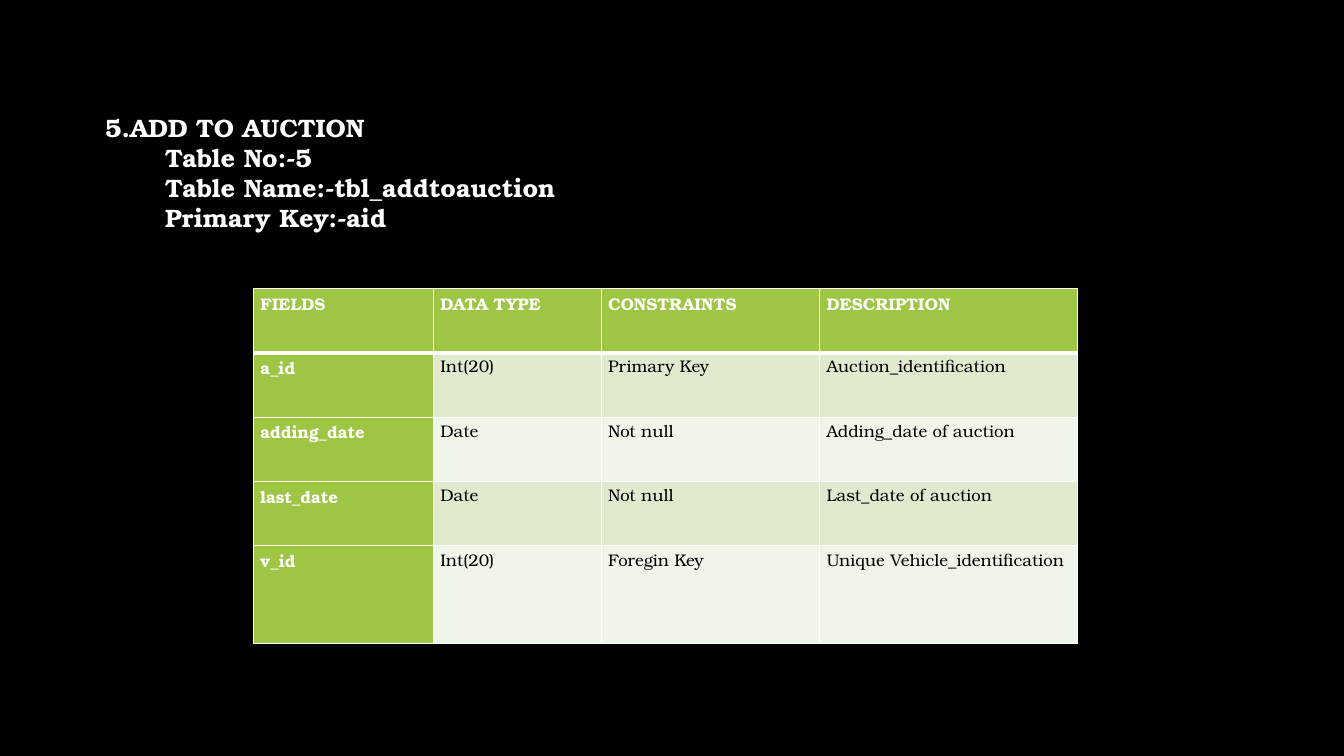
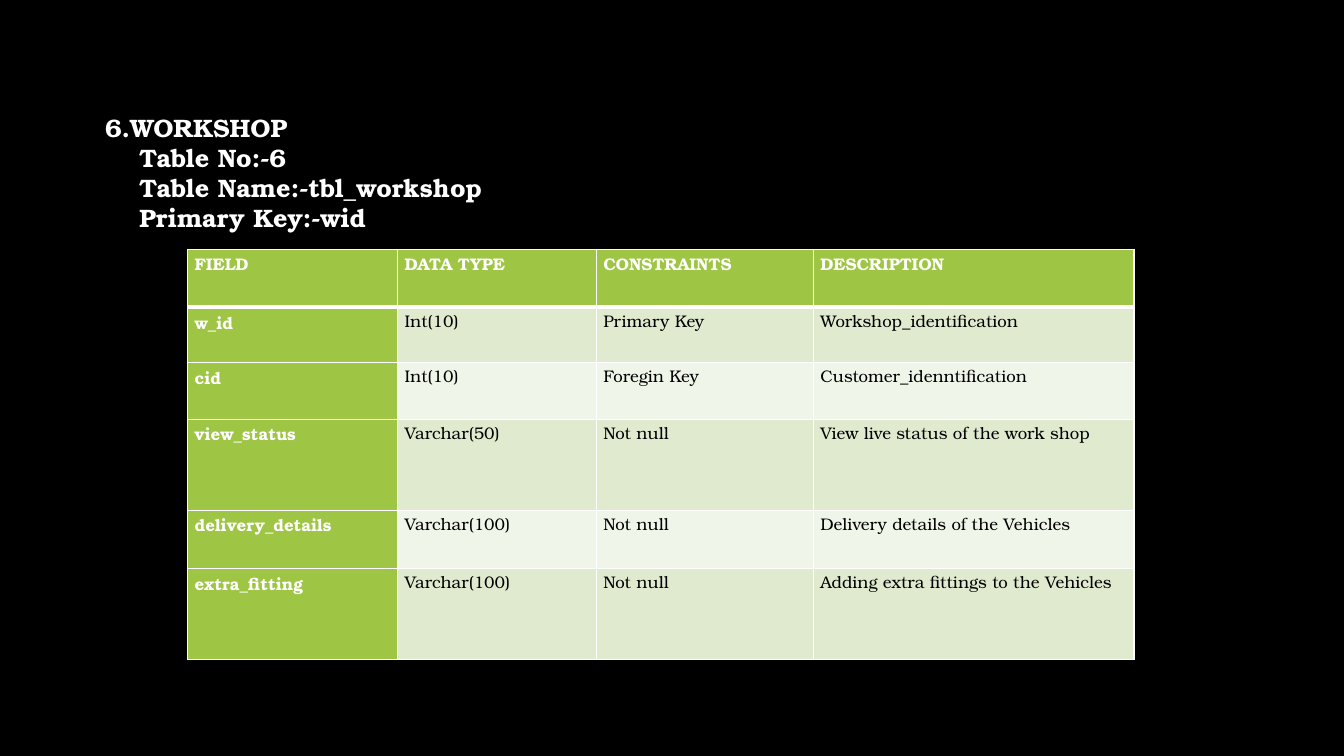
from dataclasses import dataclass

from lxml import etree
from pptx import Presentation
from pptx import util as u
from pptx.dml.color import RGBColor
from pptx.enum import text
from pptx.oxml.ns import qn


@dataclass(frozen=True)
class Theme:
    font: str = "TeX Gyre Bonum"
    background: str = "000000"
    light: str = "FFFFFF"
    dark: str = "000000"
    accent: str = "9EC544"
    bands: tuple = ("DFEACF", "F0F5E9")
    heading_size: float = 18
    cell_size: float = 12
    thin_line: float = 1
    thick_line: float = 3


THEME = Theme()
HEADING_BOX = (75, 80, 800, 86)

SLIDES = [
    {
        "title": "5.ADD TO AUCTION",
        "details": ["Table No:-5", "Table Name:-tbl_addtoauction", "Primary Key:-aid"],
        "indent": 43,
        "origin": (181, 206),
        "widths": [128.5, 120, 156, 184],
        "heights": [46, 46, 46, 46, 70],
        "rows": [
            ["FIELDS", "DATA TYPE", "CONSTRAINTS", "DESCRIPTION"],
            ["a_id", "Int(20)", "Primary Key", "Auction_identification"],
            ["adding_date", "Date", "Not null", "Adding_date of auction"],
            ["last_date", "Date", "Not null", "Last_date of auction"],
            ["v_id", "Int(20)", "Foregin Key", "Unique Vehicle_identification"],
        ],
    },
    {
        "title": "6.WORKSHOP",
        "details": ["Table No:-6", "Table Name:-tbl_workshop", "Primary Key:-wid"],
        "indent": 24.5,
        "origin": (134, 178),
        "widths": [150, 142, 155, 229],
        "heights": [41.5, 39.5, 40.5, 65, 41.5, 65],
        "rows": [
            ["FIELD", "DATA TYPE", "CONSTRAINTS", "DESCRIPTION"],
            ["w_id", "Int(10)", "Primary Key", "Workshop_identification"],
            ["cid", "Int(10)", "Foregin Key", "Customer_idenntification"],
            ["view_status", "Varchar(50)", "Not null", "View live status of the work shop"],
            ["delivery_details", "Varchar(100)", "Not null", "Delivery details of the Vehicles"],
            ["extra_fitting", "Varchar(100)", "Not null", "Adding extra fittings to the Vehicles"],
        ],
    },
]


def write_text(frame, lines, *, size, color, bold=False, align=text.PP_ALIGN.LEFT,
               spacing=1.0, after=0, indent=0):
    for index, line in enumerate(lines):
        paragraph = frame.add_paragraph() if index else frame.paragraphs[0]
        paragraph.alignment = align
        paragraph.line_spacing = spacing
        paragraph.space_before = u.Pt(0)
        paragraph.space_after = u.Pt(after)
        properties = paragraph._p.get_or_add_pPr()
        properties.set("marL", str(u.Pt(indent)))
        properties.set("indent", "0")
        etree.SubElement(properties, qn("a:buNone"))
        run = paragraph.add_run()
        run.text = line
        run.font.name = THEME.font
        run.font.size = u.Pt(size)
        run.font.bold = bold
        run.font.color.rgb = RGBColor.from_string(color)


def fill_placeholder(shape, box, lines, indent=0):
    shape.left, shape.top, shape.width, shape.height = map(u.Pt, box)
    frame = shape.text_frame
    frame.margin_left = frame.margin_right = frame.margin_top = frame.margin_bottom = 0
    frame.vertical_anchor = text.MSO_ANCHOR.TOP
    frame.auto_size = text.MSO_AUTO_SIZE.NONE
    frame.word_wrap = True
    write_text(frame, lines, size=THEME.heading_size, color=THEME.light, bold=True, indent=indent)


def add_heading(slide, box, title, details, indent):
    left, top, width, height = box
    line_height = height / (len(details) + 1)
    fill_placeholder(slide.shapes.title, (left, top, width, line_height), [title])
    fill_placeholder(slide.placeholders[1],
                     (left, top + line_height, width, height - line_height), details, indent)


def set_borders(cell, row):
    properties = cell._tc.get_or_add_tcPr()
    thick_edge = {0: "lnB", 1: "lnT"}.get(row)
    for edge in ("lnL", "lnR", "lnT", "lnB"):
        width = THEME.thick_line if edge == thick_edge else THEME.thin_line
        line = etree.SubElement(properties, qn(f"a:{edge}"), w=str(u.Pt(width)))
        fill = etree.SubElement(line, qn("a:solidFill"))
        etree.SubElement(fill, qn("a:srgbClr"), val=THEME.light)


def format_cell(cell, row, column, value):
    emphasized = row == 0 or column == 0
    cell.margin_left = cell.margin_right = u.Pt(5)
    cell.margin_top = cell.margin_bottom = 0
    set_borders(cell, row)
    cell.fill.solid()
    color = THEME.accent if emphasized else THEME.bands[(row - 1) % 2]
    cell.fill.fore_color.rgb = RGBColor.from_string(color)
    write_text(cell.text_frame, [value], size=THEME.cell_size, bold=emphasized,
               color=THEME.light if emphasized else THEME.dark,
               align=text.PP_ALIGN.JUSTIFY, spacing=1.1, after=20.6)


def add_field_table(slide, origin, widths, heights, rows):
    box = (*origin, sum(widths), sum(heights))
    table = slide.shapes.add_table(len(rows), len(widths), *map(u.Pt, box)).table
    for column, width in zip(table.columns, widths):
        column.width = u.Pt(width)
    for row, height in zip(table.rows, heights):
        row.height = u.Pt(height)
    for row, values in enumerate(rows):
        for column, value in enumerate(values):
            format_cell(table.cell(row, column), row, column, value)


def add_table_slide(presentation, content):
    slide = presentation.slides.add_slide(presentation.slide_layouts[1])
    add_heading(slide, HEADING_BOX, content["title"], content["details"], content["indent"])
    add_field_table(slide, content["origin"], content["widths"], content["heights"], content["rows"])


def main():
    presentation = Presentation()
    presentation.slide_width = u.Pt(960)
    presentation.slide_height = u.Pt(540)
    background = presentation.slide_master.background.fill
    background.solid()
    background.fore_color.rgb = RGBColor.from_string(THEME.background)
    for content in SLIDES:
        add_table_slide(presentation, content)
    presentation.save("out.pptx")


if __name__ == "__main__":
    main()
